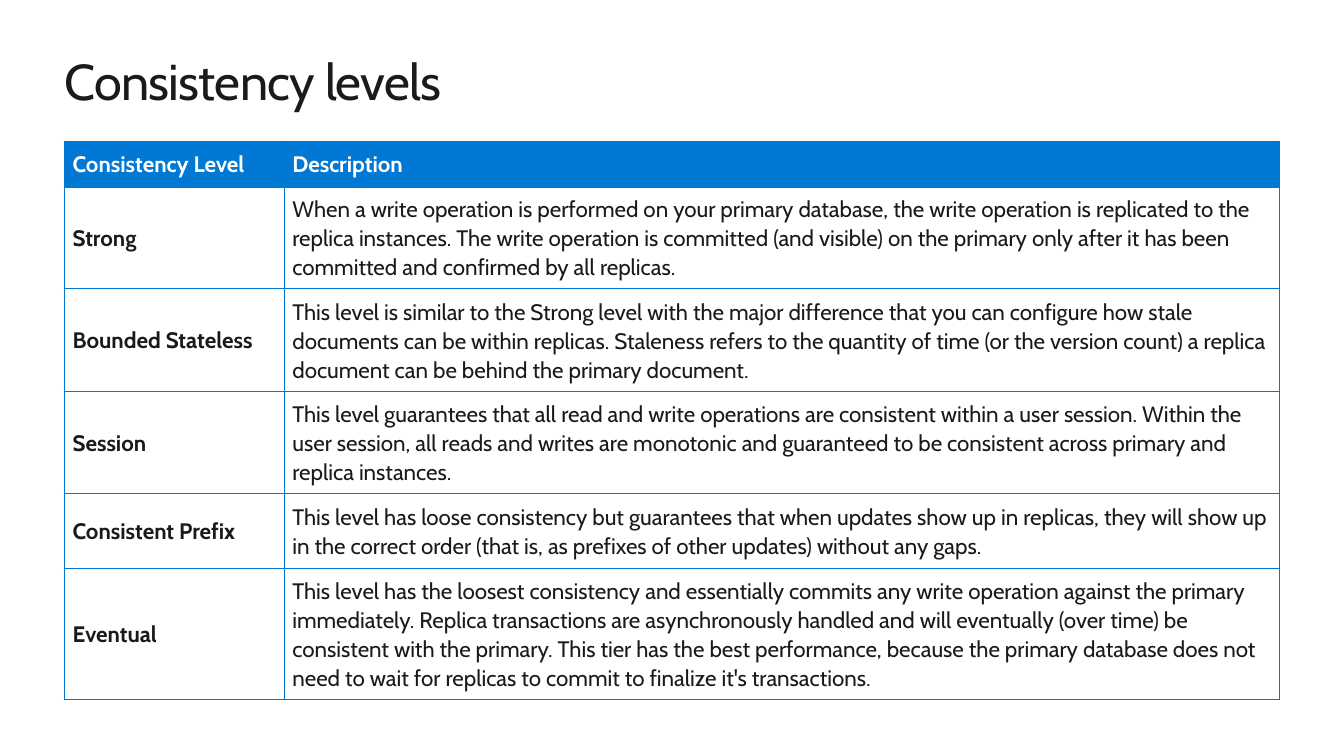
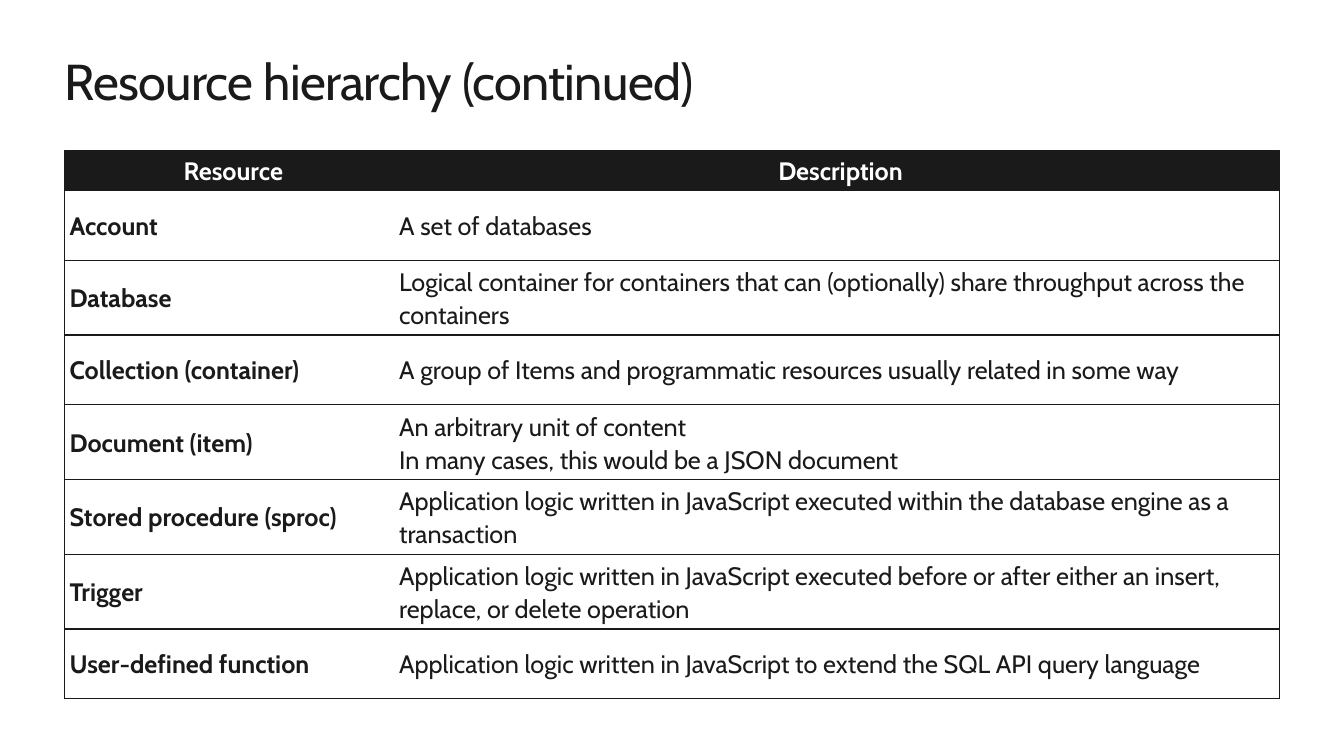
from lxml.etree import SubElement
from pptx import Presentation
from pptx.dml.color import RGBColor
from pptx.enum.text import MSO_ANCHOR, MSO_AUTO_SIZE, PP_ALIGN
from pptx.oxml.ns import qn
from pptx.util import Pt

FONT = "Cabin"
INK = RGBColor(0x1A, 0x1A, 0x1A)
BLUE = RGBColor(0x00, 0x78, 0xD4)
WHITE = RGBColor(0xFF, 0xFF, 0xFF)

LEFT, WIDTH = Pt(46.1), Pt(867.6)
TITLE_TOP, TITLE_HEIGHT = Pt(36), Pt(44)
LINE_SPACING = 1.07
MARGIN_NAMES = ("margin_left", "margin_top", "margin_right", "margin_bottom")
SIDES = "LRTB"

CONSISTENCY_LEVELS = [
    ("Consistency Level", "Description"),
    ("Strong",
     "When a write operation is performed on your primary database, the write operation is "
     "replicated to the replica instances. The write operation is committed (and visible) on the "
     "primary only after it has been committed and confirmed by all replicas."),
    ("Bounded Stateless",
     "This level is similar to the Strong level with the major difference that you can configure "
     "how stale documents can be within replicas. Staleness refers to the quantity of time (or the "
     "version count) a replica document can be behind the primary document."),
    ("Session",
     "This level guarantees that all read and write operations are consistent within a user "
     "session. Within the user session, all reads and writes are monotonic and guaranteed to be "
     "consistent across primary and replica instances."),
    ("Consistent Prefix",
     "This level has loose consistency but guarantees that when updates show up in replicas, they "
     "will show up in the correct order (that is, as prefixes of other updates) without any gaps."),
    ("Eventual",
     "This level has the loosest consistency and essentially commits any write operation against "
     "the primary immediately. Replica transactions are asynchronously handled and will eventually "
     "(over time) be consistent with the primary. This tier has the best performance, because the "
     "primary database does not need to wait for replicas to commit to finalize it's transactions."),
]

RESOURCES = [
    ("Resource", "Description"),
    ("Account", "A set of databases"),
    ("Database",
     "Logical container for containers that can (optionally) share throughput across the "
     "containers"),
    ("Collection (container)",
     "A group of Items and programmatic resources usually related in some way"),
    ("Document (item)",
     "An arbitrary unit of content\nIn many cases, this would be a JSON document"),
    ("Stored procedure (sproc)",
     "Application logic written in JavaScript executed within the database engine as a "
     "transaction"),
    ("Trigger",
     "Application logic written in JavaScript executed before or after either an insert, replace, "
     "or delete operation"),
    ("User-defined function",
     "Application logic written in JavaScript to extend the SQL API query language"),
]

# Margins run left, top, right, bottom; column_sides lists the ruled sides per column.
LEVELS_STYLE = {
    "accent": BLUE, "size": 16, "body_fill": None, "column_sides": ("LRTB", "LRTB"),
    "header_rule": 2, "header_align": PP_ALIGN.LEFT, "header_anchor": MSO_ANCHOR.MIDDLE,
    "header_margins": (5.8,) * 4, "body_margins": (5.8,) * 4,
}
RESOURCES_STYLE = {
    "accent": INK, "size": 18, "body_fill": WHITE, "column_sides": ("LTB", "RTB"),
    "header_rule": 1, "header_align": PP_ALIGN.CENTER, "header_anchor": MSO_ANCHOR.TOP,
    "header_margins": (8.6, 2.9, 2.9, 2.9), "body_margins": (3.6,) * 4,
}


def apply(target, values):
    for name, value in values.items():
        setattr(target, name, value)


def format_font(font, size, color, bold=False):
    apply(font, {"name": FONT, "size": Pt(size), "bold": bold})
    font.color.rgb = color


def add_titled_slide(deck, wording):
    slide = deck.slides.add_slide(deck.slide_layouts[5])
    title = slide.shapes.title
    apply(title, {"left": LEFT, "top": TITLE_TOP, "width": WIDTH, "height": TITLE_HEIGHT})
    frame = title.text_frame
    frame.text = wording
    apply(frame, dict.fromkeys(MARGIN_NAMES, 0))
    apply(frame, {"word_wrap": True, "vertical_anchor": MSO_ANCHOR.TOP,
                  "auto_size": MSO_AUTO_SIZE.SHAPE_TO_FIT_TEXT})
    paragraph = frame.paragraphs[0]
    paragraph.alignment = PP_ALIGN.LEFT
    run = paragraph.runs[0]
    format_font(run.font, 36, INK)
    run.font._element.set("spc", "-50")
    return slide


def rule_cell(cell, color, widths):
    """Draw the sides named in widths and clear the others; call before filling."""
    properties = cell._tc.get_or_add_tcPr()
    for side in SIDES:
        width = widths.get(side, 0)
        line = SubElement(properties, qn(f"a:ln{side}"), w=str(Pt(width)))
        if width:
            fill = SubElement(line, qn("a:solidFill"))
            SubElement(fill, qn("a:srgbClr"), val=str(color))
        else:
            SubElement(line, qn("a:noFill"))


def fill_cell(cell, color):
    if color is None:
        cell.fill.background()
    else:
        cell.fill.solid()
        cell.fill.fore_color.rgb = color


def format_cell(cell, wording, style, column, is_header):
    part = "header" if is_header else "body"
    widths = dict.fromkeys(style["column_sides"][column], 1)
    if is_header:
        widths["B"] = style["header_rule"]
    rule_cell(cell, style["accent"], widths)
    fill_cell(cell, style["accent"] if is_header else style["body_fill"])
    apply(cell, dict(zip(MARGIN_NAMES, map(Pt, style[f"{part}_margins"]))))
    cell.vertical_anchor = style["header_anchor"] if is_header else MSO_ANCHOR.MIDDLE
    cell.text = wording
    for paragraph in cell.text_frame.paragraphs:
        paragraph.line_spacing = LINE_SPACING
        paragraph.alignment = style["header_align"] if is_header else PP_ALIGN.LEFT
        for run in paragraph.runs:
            format_font(run.font, style["size"], WHITE if is_header else INK,
                        bold=is_header or column == 0)


def add_definition_table(slide, entries, top, name_width, row_heights, style):
    table = slide.shapes.add_table(len(entries), 2, LEFT, Pt(top), WIDTH,
                                   Pt(sum(row_heights))).table
    table.horz_banding = False
    table.columns[0].width = Pt(name_width)
    table.columns[1].width = WIDTH - Pt(name_width)
    for row, (entry, height) in enumerate(zip(entries, row_heights)):
        table.rows[row].height = Pt(height)
        for column, wording in enumerate(entry):
            format_cell(table.cell(row, column), wording, style, column, row == 0)


def main():
    deck = Presentation()
    apply(deck, {"slide_width": Pt(960), "slide_height": Pt(540)})

    levels = add_titled_slide(deck, "Consistency levels")
    add_definition_table(levels, CONSISTENCY_LEVELS, 101, 157,
                         [31, 70.6, 70.6, 70.6, 53.3, 90.7], LEVELS_STYLE)

    resources = add_titled_slide(deck, "Resource hierarchy (continued)")
    add_definition_table(resources, RESOURCES, 107.3, 235.4,
                         [26] + [49.7] * 7, RESOURCES_STYLE)

    deck.save("out.pptx")


if __name__ == "__main__":
    main()
